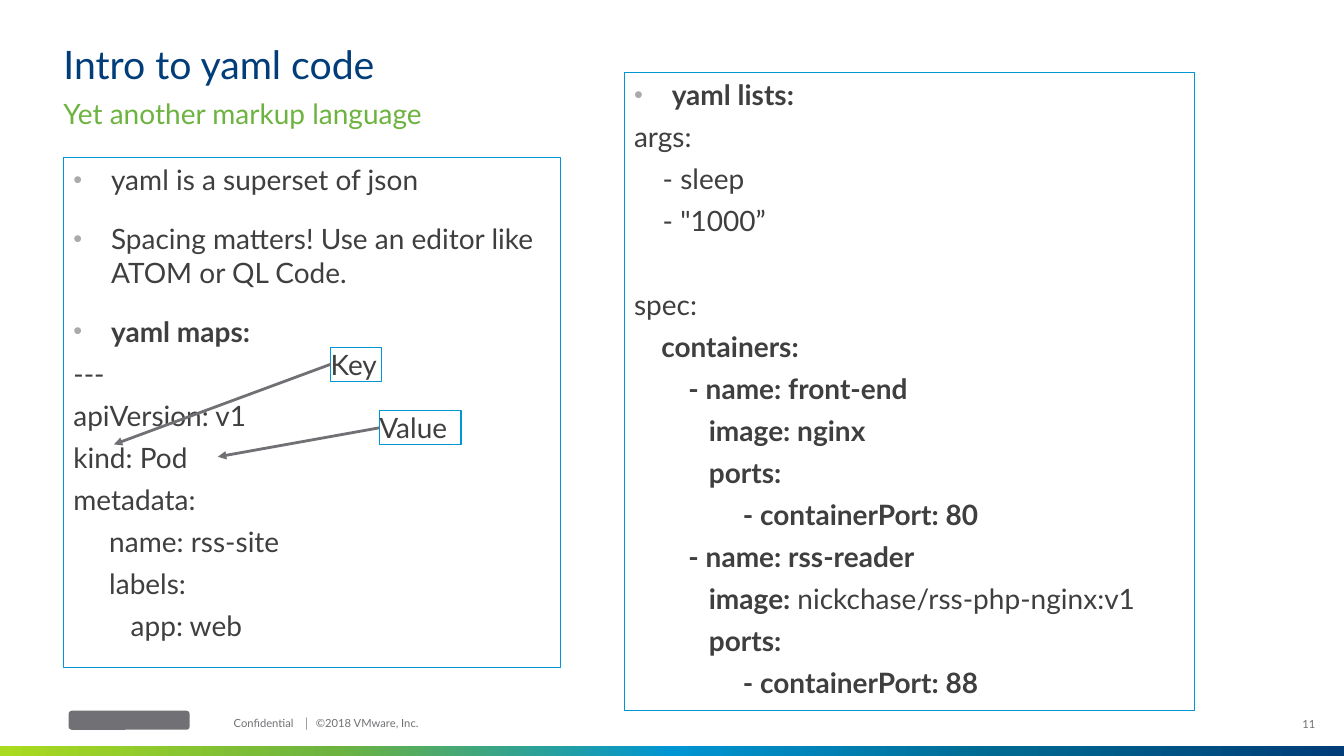
from lxml import etree
from pptx import Presentation
from pptx.dml.color import RGBColor
from pptx.enum.shapes import MSO_CONNECTOR, MSO_SHAPE
from pptx.enum.text import MSO_ANCHOR, PP_ALIGN
from pptx.oxml.ns import qn
from pptx.util import Cm, Pt

RECTANGLE = MSO_SHAPE.RECTANGLE
ROUNDED = MSO_SHAPE.ROUNDED_RECTANGLE
STRAIGHT = MSO_CONNECTOR.STRAIGHT
TOP, MIDDLE, BOTTOM = MSO_ANCHOR.TOP, MSO_ANCHOR.MIDDLE, MSO_ANCHOR.BOTTOM
LEFT, RIGHT = PP_ALIGN.LEFT, PP_ALIGN.RIGHT

FONT = "Lato"
NAVY, GREEN, BLUE = "003D79", "6DB33F", "0095D3"
INK, GREY, BULLET_GREY = "3F3F3F", "717074", "AAA9AC"
BAND_STOPS = [(0, "AADB1E"), (25, GREEN), (50, BLUE), (75, "006990"), (100, NAVY)]
SLIDE_WIDTH, SLIDE_HEIGHT = 33.87, 19.05
BULLET_INDENT = 0.95

HEADINGS = [
    ("Intro to yaml code", (1.6, 1.14, 30.56, 1.07), 28, NAVY, LEFT, BOTTOM, 0.9),
    ("Yet another markup language", (1.6, 2.44, 30.45, 0.69), 20, GREEN, LEFT, TOP, 1.0),
    ("11", (31.93, 17.75, 1.22, 1.02), 8, GREY, RIGHT, MIDDLE, 0.9),
    ("Confidential\t│\t©2018 VMware, Inc.", (5.89, 18.08, 5.46, 0.41), 8, GREY, LEFT, TOP, 0.9),
]
FOOTER_TABS = [1.73, 2.07]

BULLET, PLAIN, BOLD = "bullet", "plain", "bold"
BOLD_BULLET, AFTER_GAP, BOLD_KEY = "bold bullet", "after gap", "bold key"
SPACE_BEFORE = {BULLET: 18, BOLD_BULLET: 18, AFTER_GAP: 36}
CODE_SPACE = 6

MAPS_PANEL = (1.6, 3.98, 12.52, 12.83)
MAPS_LINES = [
    (BULLET, "yaml is a superset of json"),
    (BULLET, "Spacing matters! Use an editor like ATOM or QL Code."),
    (BOLD_BULLET, "yaml maps:"),
    (PLAIN, "---"),
    (PLAIN, "apiVersion: v1"),
    (PLAIN, "kind: Pod"),
    (PLAIN, "metadata:"),
    (PLAIN, "     name: rss-site"),
    (PLAIN, "     labels:"),
    (PLAIN, "        app: web"),
]
LISTS_PANEL = (15.73, 1.83, 14.38, 16.08)
LISTS_LINES = [
    (BOLD_BULLET, "yaml lists:"),
    (PLAIN, "args:"),
    (PLAIN, "    - sleep"),
    (PLAIN, "    - \"1000”"),
    (AFTER_GAP, "spec:"),
    (BOLD, "    containers:"),
    (BOLD, "        - name: front-end"),
    (BOLD, "           image: nginx"),
    (BOLD, "           ports:"),
    (BOLD, "                - containerPort: 80"),
    (BOLD, "        - name: rss-reader"),
    (BOLD_KEY, "           image: ", "nickchase/rss-php-nginx:v1"),
    (BOLD, "           ports:"),
    (BOLD, "                - containerPort: 88"),
]
CALLOUTS = [
    ("Key", (8.33, 8.75, 1.28, 0.86), (2.87, 11.2)),
    ("Value", (9.56, 10.35, 2.06, 0.86), (5.49, 11.51)),
]


def color(hex_code):
    return RGBColor.from_string(hex_code)


def add_xml(parent, tag, **attributes):
    return etree.SubElement(parent, qn(tag), attributes)


def style(paragraph, size, hex_code, bold=False):
    font = paragraph.font
    font.name, font.size, font.bold = FONT, Pt(size), bold
    font.color.rgb = color(hex_code)


def clear_margins(frame):
    frame.margin_left = frame.margin_right = 0
    frame.margin_top = frame.margin_bottom = 0


def add_heading(slide, text, box, size, hex_code, align, anchor, spacing):
    frame = slide.shapes.add_textbox(*map(Cm, box)).text_frame
    clear_margins(frame)
    frame.word_wrap = True
    frame.vertical_anchor = anchor
    paragraph = frame.paragraphs[0]
    paragraph.add_run().text = text
    if "\t" in text:
        tabs = add_xml(paragraph._p.get_or_add_pPr(), "a:tabLst")
        for position in FOOTER_TABS:
            add_xml(tabs, "a:tab", pos=str(Cm(position)), algn="l")
    paragraph.alignment = align
    paragraph.line_spacing = spacing
    style(paragraph, size, hex_code)


def add_block(slide, box, kind=RECTANGLE):
    block = slide.shapes.add_shape(kind, *map(Cm, box))
    block.shadow.inherit = False
    return block


def add_frame(slide, box):
    outline = add_block(slide, box)
    outline.fill.background()
    outline.line.color.rgb = color(BLUE)
    outline.line.width = Pt(0.75)
    outline.text_frame.word_wrap = True
    outline.text_frame.vertical_anchor = TOP
    return outline


def add_bullet(paragraph):
    properties = paragraph._p.get_or_add_pPr()
    properties.set("marL", str(Cm(BULLET_INDENT)))
    properties.set("indent", str(-Cm(BULLET_INDENT)))
    add_xml(add_xml(properties, "a:buClr"), "a:srgbClr", val=BULLET_GREY)
    add_xml(properties, "a:buSzPct", val="90000")
    add_xml(properties, "a:buFont", typeface="Arial")
    add_xml(properties, "a:buChar", char="•")


def add_panel(slide, box, lines):
    frame = add_frame(slide, box).text_frame
    for index, (kind, *parts) in enumerate(lines):
        paragraph = frame.add_paragraph() if index else frame.paragraphs[0]
        runs = [paragraph.add_run() for _ in parts]
        for run, part in zip(runs, parts):
            run.text = part
        if kind in (BULLET, BOLD_BULLET):
            add_bullet(paragraph)
        paragraph.alignment = LEFT
        if index:
            paragraph.space_before = Pt(SPACE_BEFORE.get(kind, CODE_SPACE))
        style(paragraph, 20, INK, kind in (BOLD, BOLD_BULLET, BOLD_KEY))
        if kind == BOLD_KEY:
            runs[-1].font.bold = False


def add_callout(slide, text, box, target):
    label = add_frame(slide, box)
    clear_margins(label.text_frame)
    paragraph = label.text_frame.paragraphs[0]
    paragraph.add_run().text = text
    paragraph.alignment = LEFT
    style(paragraph, 20, INK)
    arrow = slide.shapes.add_connector(STRAIGHT, 0, 0, *map(Cm, target))
    arrow.begin_connect(label, 1)
    arrow.line.color.rgb = color(GREY)
    arrow.line.width = Pt(2)
    properties = arrow._element.spPr
    add_xml(properties.get_or_add_ln(), "a:tailEnd", type="triangle")
    add_xml(properties, "a:effectLst")


def add_band(slide):
    band = add_block(slide, (0, 18.8, SLIDE_WIDTH, 0.25))
    band.line.fill.background()
    band.fill.gradient()
    band.fill.gradient_angle = 0
    stops = band._element.spPr.find(qn("a:gradFill")).find(qn("a:gsLst"))
    for stop in list(stops):
        stops.remove(stop)
    for percent, hex_code in BAND_STOPS:
        stop = add_xml(stops, "a:gs", pos=str(percent * 1000))
        add_xml(stop, "a:srgbClr", val=hex_code)


def main():
    presentation = Presentation()
    presentation.slide_width = Cm(SLIDE_WIDTH)
    presentation.slide_height = Cm(SLIDE_HEIGHT)
    slide = presentation.slides.add_slide(presentation.slide_layouts[6])
    add_band(slide)
    emblem = add_block(slide, (1.73, 17.91, 3.05, 0.48), ROUNDED)
    emblem.fill.solid()
    emblem.fill.fore_color.rgb = color(GREY)
    emblem.line.fill.background()
    for heading in HEADINGS:
        add_heading(slide, *heading)
    add_panel(slide, MAPS_PANEL, MAPS_LINES)
    for callout in CALLOUTS:
        add_callout(slide, *callout)
    add_panel(slide, LISTS_PANEL, LISTS_LINES)
    presentation.save("out.pptx")


if __name__ == "__main__":
    main()
